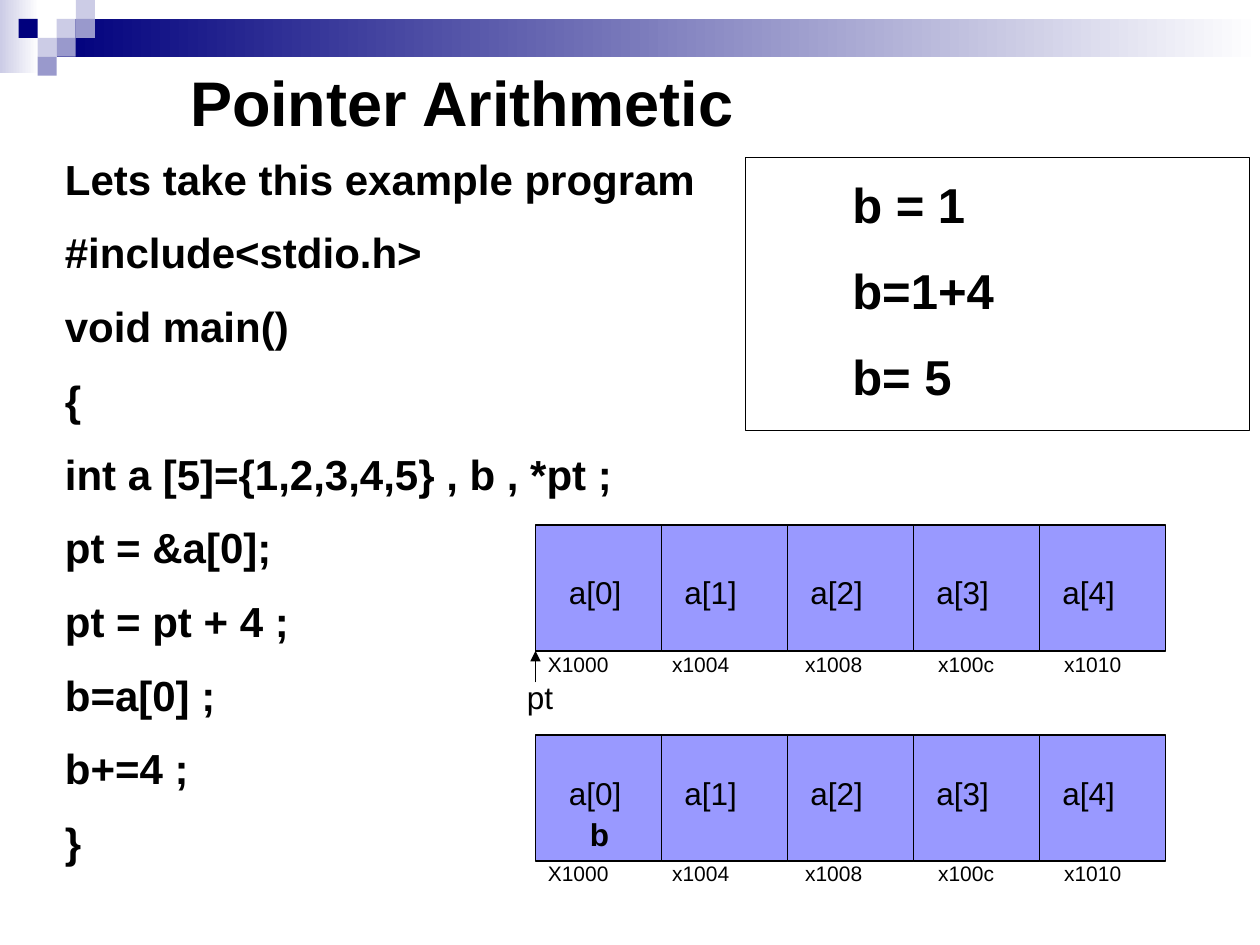
from lxml.etree import SubElement
from pptx import Presentation
from pptx.dml.color import RGBColor
from pptx.enum.shapes import MSO_CONNECTOR, MSO_SHAPE
from pptx.enum.text import PP_ALIGN
from pptx.oxml.ns import qn
from pptx.util import Pt

COLORS = {
    "ink": "000000", "paper": "FFFFFF", "navy": "00007D",
    "pale": "CCCCE6", "mid": "9999CC", "cell": "9999FF",
}
FORMATS = {
    "title": {"size": Pt(36), "bold": True},
    "code": {"size": Pt(24), "bold": True},
    "result": {"size": Pt(28), "bold": True},
    "label": {"size": Pt(18), "bold": False},
    "variable": {"size": Pt(18), "bold": True},
    "address": {"size": Pt(12), "bold": False},
}
PROGRAM = [
    "Lets take this example program", "#include<stdio.h>", "void main()", "{",
    "int a [5]={1,2,3,4,5} , b , *pt ;", "pt = &a[0];", "pt = pt + 4 ;",
    "b=a[0] ;", "b+=4 ;", "}",
]
RESULTS = ["b = 1", "b=1+4", "b= 5"]
ADDRESSES = ["X1000", "x1004", "x1008", "x100c", "x1010"]
ADDRESS_TABS = [71, 147, 223, 295]
CELL = 72


def rgb(name):
    return RGBColor.from_string(COLORS[name])


def add_box(slide, left, top, width, height, fill=None, fade=False, outlined=False):
    box = slide.shapes.add_shape(
        MSO_SHAPE.RECTANGLE, Pt(left), Pt(top), Pt(width), Pt(height))
    box.shadow.inherit = False
    if fade:
        box.fill.gradient()
        box.fill.gradient_angle = 0
        for stop, name in zip(box.fill.gradient_stops, (fill, "paper")):
            stop.color.rgb = rgb(name)
    elif fill:
        box.fill.solid()
        box.fill.fore_color.rgb = rgb(fill)
    else:
        box.fill.background()
    if outlined:
        box.line.color.rgb = rgb("ink")
        box.line.width = Pt(0.75)
    else:
        box.line.fill.background()


def add_text(slide, left, top, width, height, lines, style, align=PP_ALIGN.LEFT, tabs=()):
    frame = slide.shapes.add_textbox(
        Pt(left), Pt(top), Pt(width), Pt(height)).text_frame
    frame.word_wrap = True
    for index, line in enumerate(lines):
        paragraph = frame.paragraphs[0] if index == 0 else frame.add_paragraph()
        paragraph.text = line
        paragraph.alignment = align
        if index:
            paragraph.space_before = Pt(FORMATS[style]["size"].pt * 0.555)
        if tabs:
            tab_list = SubElement(paragraph._p.get_or_add_pPr(), qn("a:tabLst"))
            for position in tabs:
                SubElement(tab_list, qn("a:tab"), pos=str(Pt(position)), algn="l")
        for run in paragraph.runs:
            run.font.name = "Arial"
            run.font.color.rgb = rgb("ink")
            for attribute, value in FORMATS[style].items():
                setattr(run.font, attribute, value)


def add_header(slide, left, top, width):
    # Fading bars
    add_box(slide, left, top, 22.3, 41.8, "pale", fade=True)
    add_box(slide, left + 32.4, top + 10.8, width - 32.4, 21.6, "navy", fade=True)
    # Checker squares as column, row, colour
    for column, row, fill in [
        (2, 1, "pale"), (3, 0, "pale"), (3, 1, "mid"), (1, 2, "pale"),
        (0, 1, "navy"), (2, 2, "mid"), (1, 3, "mid"),
    ]:
        add_box(slide, left + 10.6 + column * 10.9, top + row * 10.8, 10.9, 10.8, fill)


def add_array(slide, left, top, label_offset, address_offset):
    for index in range(len(ADDRESSES)):
        add_box(slide, left + index * CELL, top, CELL, CELL, "cell", outlined=True)
    # The first label stands a little further right
    for index in range(len(ADDRESSES)):
        indent = 6 if index else 12
        add_text(slide, left + index * CELL + indent, top + label_offset,
                 54, 28.8, [f"a[{index}]"], "label")
    add_text(slide, left, top + address_offset, 5 * CELL, 21.6,
             ["\t".join(ADDRESSES)], "address", tabs=ADDRESS_TABS)


def add_pointer(slide, left, top):
    arrow = slide.shapes.add_connector(
        MSO_CONNECTOR.STRAIGHT, Pt(left), Pt(top + 18), Pt(left), Pt(top))
    arrow.line.color.rgb = rgb("ink")
    arrow.line.width = Pt(0.75)
    SubElement(arrow.line._get_or_add_ln(), qn("a:tailEnd"), type="triangle")
    SubElement(arrow._element.spPr, qn("a:effectLst"))
    add_text(slide, left - 12, top + 12, 42, 28.8, ["pt"], "label")


def add_results(slide, left, top, width, height):
    add_text(slide, left + 54, top + 6, 252, 142.6, RESULTS, "result")
    add_box(slide, left, top, width, height, outlined=True)


def main():
    presentation = Presentation()
    presentation.slide_width, presentation.slide_height = Pt(720), Pt(540)
    slide = presentation.slides.add_slide(presentation.slide_layouts[6])
    add_header(slide, 0, 0, 720)
    add_text(slide, -48, 33, 624, 51, ["Pointer Arithmetic"], "title", PP_ALIGN.CENTER)
    add_text(slide, 30, 84, 636, 429, PROGRAM, "code")
    # Array before and after the assignment to b
    add_array(slide, 306, 300, 24, 69)
    add_pointer(slide, 306, 372)
    add_array(slide, 306, 420, 19, 68)
    add_text(slide, 330, 462, 36, 28.8, ["b"], "variable")
    add_results(slide, 426, 90, 288, 156)
    presentation.save("out.pptx")


if __name__ == "__main__":
    main()
